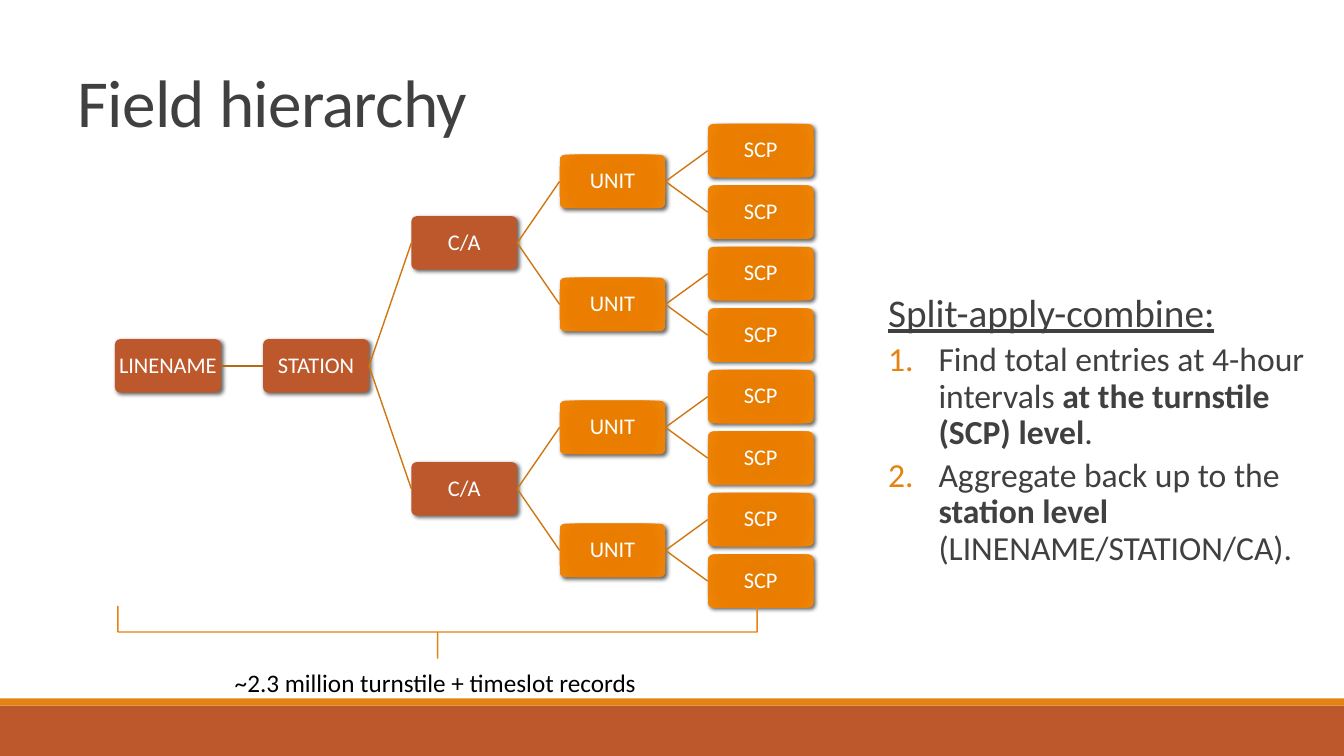
"""Build the "Field hierarchy" slide: a field tree beside the split-apply-combine steps."""
from dataclasses import dataclass

from lxml.etree import SubElement
from pptx import Presentation
from pptx.dml.color import RGBColor
from pptx.enum.shapes import MSO_CONNECTOR, MSO_SHAPE
from pptx.enum.text import MSO_ANCHOR, MSO_AUTO_SIZE, PP_ALIGN
from pptx.oxml import parse_xml
from pptx.oxml.ns import nsdecls, qn
from pptx.shapes.autoshape import Shape
from pptx.slide import Slide
from pptx.text.text import _Paragraph
from pptx.util import Inches, Pt

FONT = "Calibri"
RUST = RGBColor(0xBD, 0x58, 0x2C)
ORANGE = RGBColor(0xE4, 0x83, 0x12)
ROOT_LINK = RGBColor(0xB7, 0x69, 0x0E)
BRANCH_LINK = RGBColor(0xCF, 0x77, 0x10)
CHARCOAL = RGBColor(0x40, 0x40, 0x40)
BLACK = RGBColor(0, 0, 0)
WHITE = RGBColor(0xFF, 0xFF, 0xFF)
GLOW_STOPS = ((0, "E57B00"), (34, "E87D00"), (70, "EB7E00"), (100, "EF8407"))

TREE_LEFT, TREE_TOP = 1.14, 1.23
COLUMN_STEP, ROW_STEP = 1.47, 0.61
NODE_WIDTH, NODE_HEIGHT = 1.05, 0.53
LEAF_COUNT = 8


@dataclass(frozen=True)
class Level:
    """One column of the tree."""
    label: str
    count: int
    glowing: bool = False
    link: RGBColor = BRANCH_LINK


@dataclass(frozen=True)
class Words:
    """A run of text with its emphasis."""
    text: str
    bold: bool = False
    underline: bool = False


@dataclass(frozen=True)
class Step:
    """A paragraph of the explanation."""
    words: tuple[Words, ...]
    size: int = 24
    numbered: bool = True


LEVELS = (
    Level("LINENAME", 1),
    Level("STATION", 1, link=ROOT_LINK),
    Level("C/A", 2),
    Level("UNIT", 4, glowing=True),
    Level("SCP", LEAF_COUNT, glowing=True),
)
STEPS = (
    Step((Words("Split-apply-combine:", underline=True),), size=28, numbered=False),
    Step((Words("Find total entries at 4-hour intervals "),
          Words("at the turnstile (SCP) level", bold=True), Words("."))),
    Step((Words("Aggregate back up to the "), Words("station level ", bold=True),
          Words("(LINENAME/STATION/CA)."))),
)


def add_words(paragraph: _Paragraph, words: Words, size: int, color: RGBColor) -> None:
    """Append one formatted run."""
    run = paragraph.add_run()
    run.text = words.text
    run.font.name, run.font.size = FONT, Pt(size)
    run.font.bold, run.font.underline = words.bold, words.underline
    run.font.color.rgb = color


def add_bar(slide: Slide, top: float, height: float, color: RGBColor) -> None:
    """Draw a full-width footer bar."""
    bar = slide.shapes.add_shape(MSO_SHAPE.RECTANGLE, 0, Inches(top), Inches(13.33), Inches(height))
    bar.shadow.inherit = False
    bar.fill.solid()
    bar.fill.fore_color.rgb = color
    bar.line.fill.background()


def add_title(slide: Slide) -> None:
    """Place and format the title."""
    title = slide.shapes.title
    title.left, title.top, title.width, title.height = map(Inches, (0.67, 0, 11.5, 1.45))
    frame = title.text_frame
    frame.auto_size = MSO_AUTO_SIZE.NONE
    frame.vertical_anchor = MSO_ANCHOR.BOTTOM
    heading = frame.paragraphs[0]
    heading.alignment = PP_ALIGN.LEFT
    heading.line_spacing = 0.85
    add_words(heading, Words("Field hierarchy"), 48, CHARCOAL)
    heading.runs[0].font._element.set("spc", "-50")


def fill_node(node: Shape, glowing: bool) -> None:
    """Give a node its plain or radial fill."""
    if not glowing:
        node.fill.solid()
        node.fill.fore_color.rgb = RUST
        return
    stops = "".join(f'<a:gs pos="{position * 1000}"><a:srgbClr val="{color}"/></a:gs>'
                    for position, color in GLOW_STOPS)
    node._element.spPr.insert(2, parse_xml(
        f'<a:gradFill {nsdecls("a")} rotWithShape="1"><a:gsLst>{stops}</a:gsLst><a:path path="circle">'
        '<a:fillToRect l="100000" t="100000" r="100000" b="100000"/></a:path></a:gradFill>'))


def add_node(slide: Slide, level: Level, left: float, top: float) -> Shape:
    """Draw one labelled node with its shadow."""
    node = slide.shapes.add_shape(MSO_SHAPE.ROUNDED_RECTANGLE, Inches(left), Inches(top),
                                  Inches(NODE_WIDTH), Inches(NODE_HEIGHT))
    node.adjustments[0] = 0.1
    fill_node(node, level.glowing)
    node.line.fill.background()
    node.shadow.inherit = False
    node._element.spPr.find(qn("a:effectLst")).append(parse_xml(
        f'<a:outerShdw {nsdecls("a")} blurRad="{Pt(3)}" dist="{Pt(2)}" dir="2700000" rotWithShape="0">'
        '<a:srgbClr val="000000"><a:alpha val="60000"/></a:srgbClr></a:outerShdw>'))
    frame = node.text_frame
    frame.margin_left = frame.margin_right = frame.margin_top = frame.margin_bottom = Inches(0.01)
    frame.vertical_anchor = MSO_ANCHOR.MIDDLE
    label = frame.paragraphs[0]
    label.alignment = PP_ALIGN.CENTER
    label.line_spacing = 0.9
    add_words(label, Words(level.label), 16, WHITE)
    return node


def link_nodes(slide: Slide, parent: Shape, child: Shape, color: RGBColor) -> None:
    """Join a parent's right side to a child's left side."""
    link = slide.shapes.add_connector(MSO_CONNECTOR.STRAIGHT, 0, 0, 0, 0)
    link.begin_connect(parent, 3)
    link.end_connect(child, 1)
    link.line.color.rgb = color
    link.line.width = Pt(1)
    SubElement(link._element.spPr, qn("a:effectLst"))


def add_tree(slide: Slide) -> None:
    """Draw the levels left to right, each node centred on its leaves."""
    parents: list[Shape] = []
    for column, level in enumerate(LEVELS):
        leaves_each = LEAF_COUNT / level.count
        nodes = []
        for index in range(level.count):
            row = (index + 0.5) * leaves_each - 0.5
            node = add_node(slide, level, TREE_LEFT + column * COLUMN_STEP, TREE_TOP + row * ROW_STEP)
            if parents:
                link_nodes(slide, parents[index * len(parents) // level.count], node, level.link)
            nodes.append(node)
        parents = nodes


def add_steps(slide: Slide) -> None:
    """Write the numbered explanation."""
    explanation = slide.shapes.add_textbox(*map(Inches, (8.21, 1.65, 4.95, 4.76)))
    frame = explanation.text_frame
    frame.word_wrap = True
    frame.vertical_anchor = MSO_ANCHOR.MIDDLE
    frame.margin_top = Inches(0.53)
    for index, step in enumerate(STEPS):
        paragraph = frame.add_paragraph() if index else frame.paragraphs[0]
        paragraph.line_spacing = 0.9
        paragraph.space_before = Pt(5 if index else 0)
        properties = paragraph._p.get_or_add_pPr()
        properties.set("marL", str(Inches(1 if step.numbered else 0.5)))
        properties.set("indent", str(Inches(-0.5 if step.numbered else 0)))
        if step.numbered:
            SubElement(SubElement(properties, qn("a:buClr")), qn("a:srgbClr")).set("val", str(ORANGE))
            SubElement(properties, qn("a:buFont")).set("typeface", FONT)
            SubElement(properties, qn("a:buAutoNum")).set("type", "arabicPeriod")
        for words in step.words:
            add_words(paragraph, words, step.size, CHARCOAL)


def add_record_count(slide: Slide) -> None:
    """Bracket the tree and caption it with the record count."""
    bracket = slide.shapes.add_shape(MSO_SHAPE.RIGHT_BRACE, *map(Inches, (4.08, 3.1, 0.52, 6.34)))
    bracket.rotation = 90
    bracket.adjustments[0], bracket.adjustments[1] = 0, 0.5
    bracket.shadow.inherit = False
    bracket.fill.background()
    bracket.line.color.rgb = ORANGE
    bracket.line.width = Pt(1)
    caption = slide.shapes.add_textbox(*map(Inches, (2.23, 6.57, 4.23, 0.4)))
    caption.text_frame.word_wrap = False
    caption.text_frame.auto_size = MSO_AUTO_SIZE.SHAPE_TO_FIT_TEXT
    add_words(caption.text_frame.paragraphs[0], Words("~2.3 million turnstile + timeslot records"), 18, BLACK)


def main() -> None:
    """Assemble and save the slide."""
    deck = Presentation()
    deck.slide_width, deck.slide_height = Inches(13.33), Inches(7.5)
    slide = deck.slides.add_slide(deck.slide_layouts[5])
    add_bar(slide, 7, 0.5, RUST)
    add_bar(slide, 6.93, 0.07, ORANGE)
    add_title(slide)
    add_tree(slide)
    add_steps(slide)
    add_record_count(slide)
    deck.save("out.pptx")


if __name__ == "__main__":
    main()
